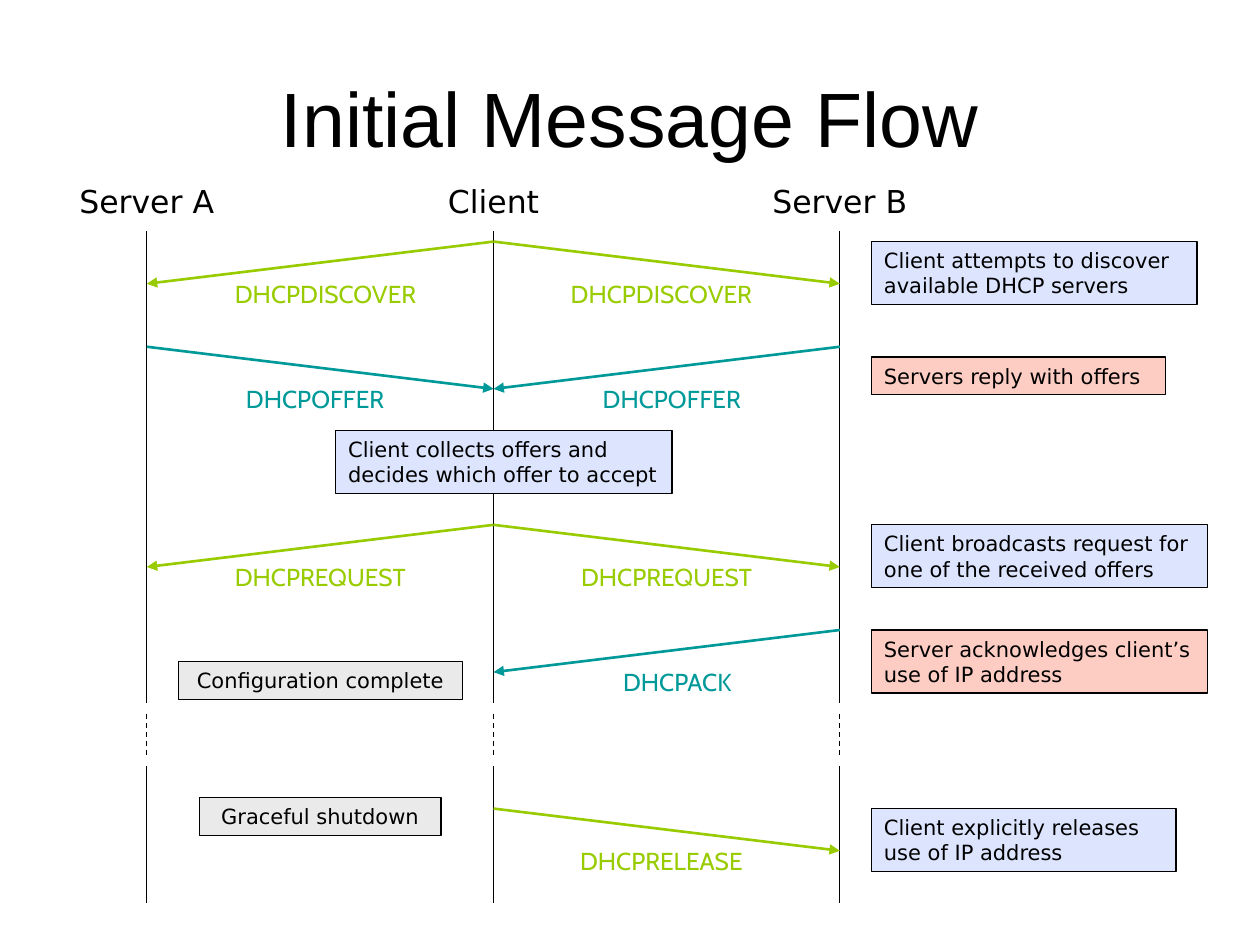
import pptx
import pptx.util
import pptx.dml.color
import pptx.enum.dml
import pptx.enum.shapes
import pptx.enum.text
from lxml import etree

Cm, Pt = pptx.util.Cm, pptx.util.Pt
RGBColor = pptx.dml.color.RGBColor
ALIGN = pptx.enum.text.PP_ALIGN
ANCHOR = pptx.enum.text.MSO_ANCHOR
DASH = pptx.enum.dml.MSO_LINE.DASH

BLACK = RGBColor(0x00, 0x00, 0x00)
GREEN = RGBColor(0x99, 0xCC, 0x00)
TEAL = RGBColor(0x00, 0x99, 0x99)
BLUE = RGBColor(0xDC, 0xE4, 0xFE)
PINK = RGBColor(0xFD, 0xCD, 0xC3)
GREY = RGBColor(0xEA, 0xEA, 0xEA)
SANS = "DejaVu Sans"

# Lifelines, in cm: name, centre, width of the heading
A, C, B = 2.96, 9.95, 16.93
ACTORS = [("Server A", A, 3.38), ("Client", C, 2.54), ("Server B", B, 3.38)]
SPANS = [(4.66, 14.18, None), (14.39, 15.24, DASH), (15.45, 18.2, None)]

# Messages: text, colour, top, label width, [(from, to, label left)]
DROP, GAP = 0.85, 0.63
FLOWS = [
    ("DHCPDISCOVER", GREEN, 4.87, 4.23, [(C, A, 4.45), (C, B, 11.22)]),
    ("DHCPOFFER", TEAL, 6.99, 3.39, [(A, C, 4.66), (B, C, 11.85)]),
    ("DHCPREQUEST", GREEN, 10.58, 4.02, [(C, A, 4.45), (C, B, 11.43)]),
    ("DHCPACK", TEAL, 12.7, 2.75, [(B, C, 12.28)]),
    ("DHCPRELEASE", GREEN, 16.3, 3.81, [(C, B, 11.43)]),
]

# Notes: text, fill, left, top, width, lines
SIDE = 17.57
NOTES = [
    ("Client attempts to discover available DHCP servers", BLUE, SIDE, 4.87, 6.56, 2),
    ("Servers reply with offers", PINK, SIDE, 7.2, 5.93, 1),
    ("Client collects offers and decides which offer to accept", BLUE, 6.77, 8.68, 6.78, 2),
    ("Client broadcasts request for one of the received offers", BLUE, SIDE, 10.58, 6.78, 2),
    ("Server acknowledges client’s use of IP address", PINK, SIDE, 12.7, 6.78, 2),
    ("Configuration complete", GREY, 3.6, 13.34, 5.72, 1),
    ("Client explicitly releases use of IP address", BLUE, SIDE, 16.3, 6.14, 2),
    ("Graceful shutdown", GREY, 4.02, 16.08, 4.87, 1),
]

deck = pptx.Presentation()
deck.slide_width, deck.slide_height = Cm(25.4), Cm(19.05)
shapes = deck.slides.add_slide(deck.slide_layouts[6]).shapes


def write(shape, text, size, font=SANS, color=BLACK, align=ALIGN.CENTER,
          anchor=ANCHOR.TOP, wrap=True):
    frame = shape.text_frame
    frame.word_wrap = wrap
    frame.vertical_anchor = anchor
    frame.text = text
    para = frame.paragraphs[0]
    para.alignment = align
    para.font.size, para.font.name = Pt(size), font
    para.font.color.rgb = color
    return para


def box(x, y, w, h):
    return shapes.add_textbox(Cm(x), Cm(y), Cm(w), Cm(h))


def line(x1, y1, x2, y2, color=BLACK, width=0.75, dash=None, arrow=False):
    link = shapes.add_connector(pptx.enum.shapes.MSO_CONNECTOR.STRAIGHT,
                                Cm(x1), Cm(y1), Cm(x2), Cm(y2))
    link.line.color.rgb, link.line.width = color, Pt(width)
    if dash:
        link.line.dash_style = dash
    ns = pptx.oxml.ns.qn
    if arrow:
        etree.SubElement(link.line._get_or_add_ln(), ns("a:tailEnd"), type="triangle")
    etree.SubElement(link._element.spPr, ns("a:effectLst"))


write(box(1.27, 0.76, 22.86, 3.18), "Initial Message Flow", 44, "Arial",
      anchor=ANCHOR.MIDDLE)

for name, x, w in ACTORS:
    write(box(x - w / 2, 3.81, w, 0.71), name, 18).line_spacing = 0.6
    for top, end, dash in SPANS:
        line(x, top, x, end, dash=dash)

for text, color, y, w, hops in FLOWS:
    for start, end, left in hops:
        line(start, y, end, y + DROP, color, 1.5, arrow=True)
        write(box(left, y + GAP, w, 0.86), text, 14, "Cabin", color, wrap=False)

for text, fill, x, y, w, rows in NOTES:
    note = shapes.add_shape(pptx.enum.shapes.MSO_SHAPE.RECTANGLE,
                            Cm(x), Cm(y), Cm(w), Cm(0.25 + 0.51 * rows))
    note.shadow.inherit = False
    note.fill.solid()
    note.fill.fore_color.rgb = fill
    note.line.color.rgb, note.line.width = BLACK, Pt(0.75)
    write(note, text, 12, align=ALIGN.CENTER if fill == GREY else ALIGN.LEFT)

deck.save("out.pptx")
